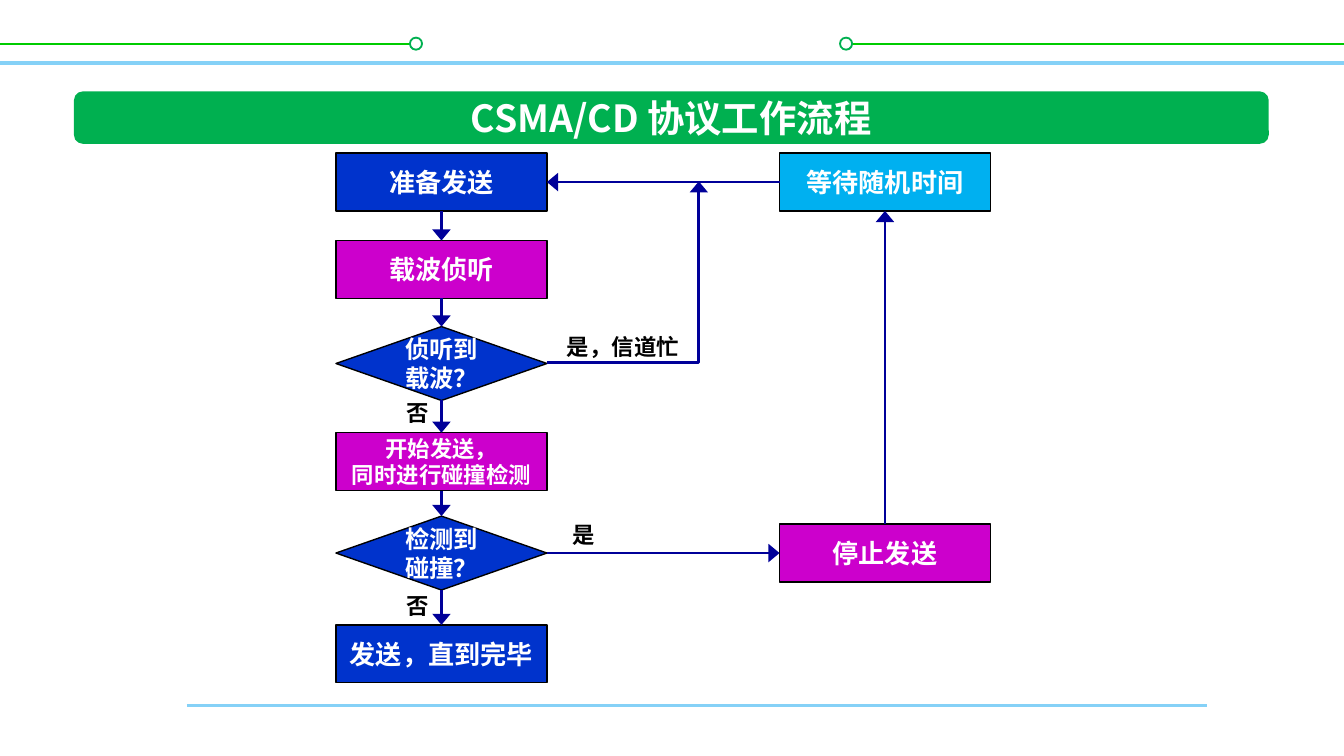
from lxml import etree
from pptx import Presentation
from pptx.dml.color import RGBColor
from pptx.enum import shapes, text
from pptx.oxml import ns
from pptx.util import Inches, Pt

FONT = "Noto Sans CJK SC"
WHITE = RGBColor(0xFF, 0xFF, 0xFF)
BLACK = RGBColor(0, 0, 0)
SKY = RGBColor(0x85, 0xD1, 0xF7)
LIME = RGBColor(0, 0xCC, 0)
GREEN = RGBColor(0, 0xB0, 0x50)
BLUE = RGBColor(0, 0x33, 0xCC)
PURPLE = RGBColor(0xCC, 0, 0xCC)
CYAN = RGBColor(0, 0xB0, 0xF0)
NAVY = RGBColor(0, 0, 0x99)

SHAPE = shapes.MSO_SHAPE
LINK = shapes.MSO_CONNECTOR
TOP, LEFT, BOTTOM, RIGHT = range(4)
NODE_W, BOX_H, DIAMOND_H = 1.57, 0.43, 0.55


def add_line(slide, start, end, color, width, kind=LINK.STRAIGHT):
    line = slide.shapes.add_connector(kind, *map(Inches, start + end))
    line.line.color.rgb = color
    line.line.width = Pt(width)
    etree.SubElement(line._element.spPr, ns.qn("a:effectLst"))
    return line


def add_arrow(slide, start, end, kind=LINK.STRAIGHT):
    arrow = add_line(slide, start, end, NAVY, 1.5, kind)
    etree.SubElement(arrow.line._get_or_add_ln(), ns.qn("a:tailEnd"),
                     type="triangle", w="lg", len="med")
    return arrow


def link(slide, source, source_site, target, target_site):
    arrow = add_arrow(slide, (0, 0), (1, 1))
    arrow.begin_connect(source, source_site)
    arrow.end_connect(target, target_site)


def add_shape(slide, kind, box, fill, border=None, width=0.75):
    sp = slide.shapes.add_shape(kind, *map(Inches, box))
    sp.shadow.inherit = False
    sp.fill.solid()
    sp.fill.fore_color.rgb = fill
    if border is None:
        sp.line.fill.background()
    else:
        sp.line.color.rgb = border
        sp.line.width = Pt(width)
    return sp


def write(tf, lines, size, color, align):
    for i, line in enumerate(lines):
        p = tf.add_paragraph() if i else tf.paragraphs[0]
        p.text = line
        p.alignment = align
        p.font.name = FONT
        p.font.size = Pt(size)
        p.font.bold = True
        p.font.color.rgb = color
        etree.SubElement(p.font._element, ns.qn("a:ea"), typeface=FONT)


def add_label(slide, box, content, size=12, color=BLACK,
              align=text.PP_ALIGN.LEFT):
    tf = slide.shapes.add_textbox(*map(Inches, box)).text_frame
    tf.word_wrap = False
    tf.auto_size = text.MSO_AUTO_SIZE.SHAPE_TO_FIT_TEXT
    write(tf, [content], size, color, align)


def add_node(slide, x, y, lines, fill, size=14, kind=SHAPE.RECTANGLE):
    diamond = kind == SHAPE.DIAMOND
    height = DIAMOND_H if diamond else BOX_H
    node = add_shape(slide, kind, (x, y, NODE_W, height), fill, BLACK)
    tf = node.text_frame
    tf.word_wrap = True
    tf.vertical_anchor = text.MSO_ANCHOR.MIDDLE
    if not diamond:
        tf.margin_left = tf.margin_right = Inches(0.05)
    write(tf, lines, size, WHITE, text.PP_ALIGN.CENTER)
    return node


def add_frame(slide, x, y, w, h):
    add_line(slide, (x, y + 0.47), (x + w, y + 0.47), SKY, 2)
    for start, end, dot in ((0, 3.1, 3.05), (6.25, w, 6.25)):
        add_line(slide, (x + start, y + 0.33), (x + end, y + 0.33), LIME, 1)
        add_shape(slide, SHAPE.OVAL, (x + dot, y + 0.28, 0.09, 0.09),
                  WHITE, GREEN, 1)
    bottom = y + h - 0.37
    add_line(slide, (x + 1.39, bottom), (x + w - 1.02, bottom), SKY, 1.5)


def add_title(slide, x, y, w, h):
    bar = add_shape(slide, SHAPE.ROUNDED_RECTANGLE, (x, y, w, h), GREEN)
    bar.adjustments[0] = 0.17
    add_label(slide, (x + 2.76, y - 0.02, 3.37, 0.44), "CSMA/CD 协议工作流程",
              20, WHITE, text.PP_ALIGN.CENTER)


def add_flowchart(slide, x, y, w):
    steps = [
        (0, ["准备发送"], BLUE, 14, SHAPE.RECTANGLE),
        (0.65, ["载波侦听"], PURPLE, 14, SHAPE.RECTANGLE),
        (1.29, ["侦听到载波？"], BLUE, 13, SHAPE.DIAMOND),
        (2.08, ["开始发送，", "同时进行碰撞检测"], PURPLE, 12, SHAPE.RECTANGLE),
        (2.7, ["检测到碰撞？"], BLUE, 13, SHAPE.DIAMOND),
        (3.51, ["发送，直到完毕"], BLUE, 14, SHAPE.RECTANGLE),
    ]
    nodes = [add_node(slide, x, y + dy, *rest) for dy, *rest in steps]
    right = x + w - NODE_W
    wait = add_node(slide, right, y, ["等待随机时间"], CYAN)
    stop = add_node(slide, right, y + 2.76, ["停止发送"], PURPLE)

    for upper, lower in zip(nodes, nodes[1:]):
        link(slide, upper, BOTTOM, lower, TOP)
    link(slide, nodes[4], RIGHT, stop, LEFT)
    link(slide, stop, TOP, wait, BOTTOM)
    link(slide, wait, LEFT, nodes[0], RIGHT)
    busy = add_arrow(slide, (x + NODE_W, y + 1.56), (x + 2.7, y + 0.21), LINK.ELBOW)
    busy._element.spPr.find(ns.qn("a:prstGeom")).set("prst", "bentConnector2")

    for dx, dy, width, content in (
        (1.62, 1.29, 1.04, "是，信道忙"),
        (1.66, 2.69, 0.37, "是"),
        (0.43, 3.22, 0.37, "否"),
        (0.43, 1.78, 0.37, "否"),
    ):
        add_label(slide, (x + dx, y + dy, width, 0.3), content)


def main():
    prs = Presentation()
    prs.slide_width = Inches(10)
    prs.slide_height = prs.slide_width * 9 // 16
    slide = prs.slides.add_slide(prs.slide_layouts[6])
    add_frame(slide, 0, 0, 10, 5.62)
    add_title(slide, 0.55, 0.68, 8.89, 0.39)
    add_flowchart(slide, 2.5, 1.14, 4.87)
    prs.save("out.pptx")


if __name__ == "__main__":
    main()
